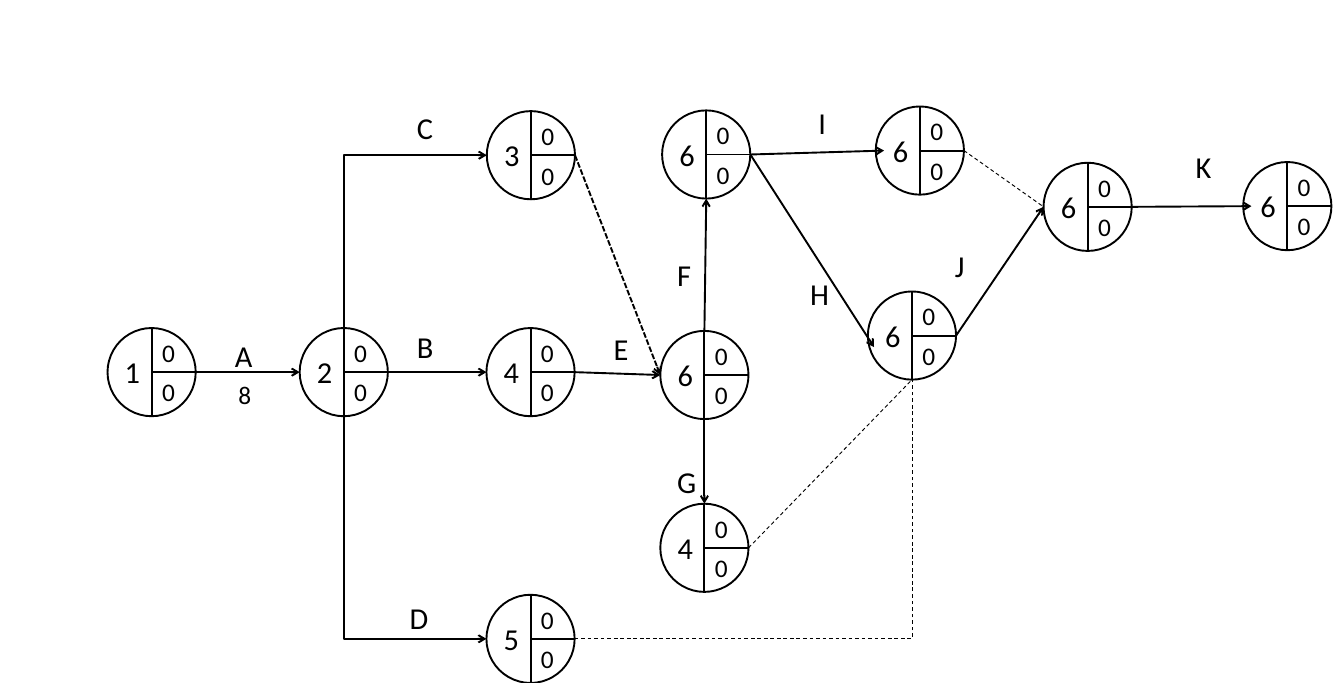
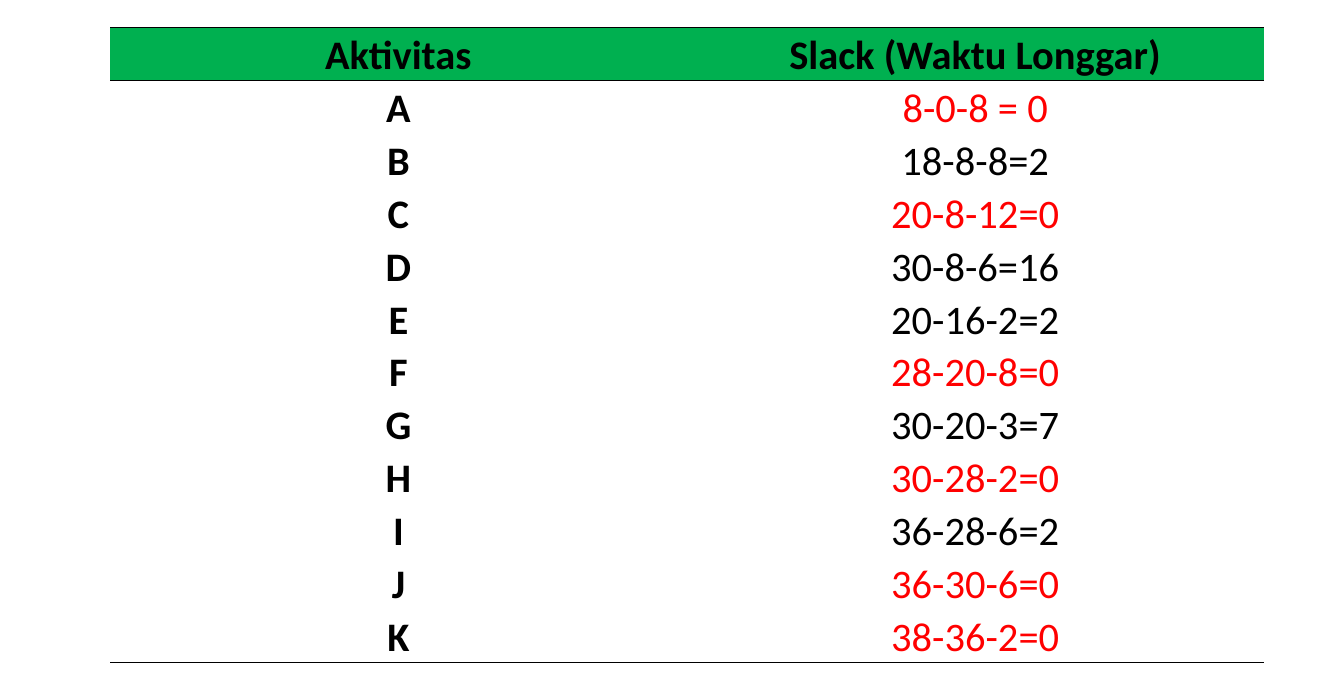
from typing import Any, NamedTuple, Optional

from lxml import etree
from pptx import Presentation
from pptx.dml.color import RGBColor
from pptx.enum.dml import MSO_LINE
from pptx.enum.shapes import MSO_CONNECTOR, MSO_SHAPE
from pptx.enum.text import MSO_AUTO_SIZE, PP_ALIGN
from pptx.oxml.ns import qn
from pptx.util import Cm, Pt

OVAL = MSO_SHAPE.OVAL
STRAIGHT, ELBOW = MSO_CONNECTOR.STRAIGHT, MSO_CONNECTOR.ELBOW
DASH, DOT = MSO_LINE.DASH, MSO_LINE.SQUARE_DOT
GROW, CENTER = MSO_AUTO_SIZE.SHAPE_TO_FIT_TEXT, PP_ALIGN.CENTER

# Shared look
COLORS = {"ink": "000000", "red": "FF0000", "green": "00B050"}
FACE = "Calibri"
FRAME = {"word_wrap": True, "auto_size": GROW}
PLAIN = "{2D5ABB26-0587-4C30-8999-92F81FD0307C}"
FLAGS = {"first_row": False, "horz_banding": False}
CELL = {"margin_left": Cm(0.19), "margin_right": Cm(0.19),
        "margin_top": 0, "margin_bottom": 0}
PARA = {"alignment": CENTER, "line_spacing": 1.07, "space_after": Pt(8)}

RADIUS = 1.23
TEXT_W = 0.79
BIG, SMALL = 24, 20
HEIGHTS = {BIG: 1.27, SMALL: 1.12}
THICK, THIN = 1.5, 0.75
# Side of a node: direction from its centre and connection site
SIDES = {"top": (0, -1, 0), "left": (-1, 0, 2),
         "bottom": (0, 1, 4), "right": (1, 0, 6)}


class Node(NamedTuple):
    num: str
    x: float
    y: float


class Edge(NamedTuple):
    start: str
    out: str
    end: str
    into: str
    arrow: str = "tailEnd"
    width: float = THICK
    dash: Any = None
    kind: Any = STRAIGHT
    stop: Optional[tuple[float, float]] = None


class Label(NamedTuple):
    text: str
    x: float
    y: float
    size: int = BIG


# Network: a node is keyed by its number, or by the task that leads to it
NODES = {
    "1": Node("1", 4.23, 10.38),
    "2": Node("2", 9.59, 10.38),
    "3": Node("3", 14.81, 4.33),
    "4": Node("4", 14.8, 10.38),
    "5": Node("5", 14.8, 17.82),
    "6": Node("6", 19.65, 10.46),
    "G": Node("4", 19.65, 15.28),
    "F": Node("6", 19.7, 4.31),
    "I": Node("6", 25.66, 4.2),
    "H": Node("6", 25.44, 9.36),
    "J": Node("6", 30.34, 5.77),
    "K": Node("6", 35.91, 5.75),
}

# Elbows leave sideways, so those of C and D carry the arrow at their start
EDGES = [
    Edge("1", "right", "2", "left"),
    Edge("2", "right", "4", "left"),
    Edge("3", "left", "2", "top", "headEnd", kind=ELBOW),
    Edge("5", "left", "2", "bottom", "headEnd", kind=ELBOW),
    Edge("4", "right", "6", "left"),
    Edge("6", "top", "F", "bottom"),
    Edge("6", "bottom", "G", "top"),
    Edge("3", "right", "6", "left", dash=DOT),
    Edge("G", "right", "H", "bottom", "", THIN, DASH),
    Edge("F", "right", "I", "left", stop=(24.66, 4.2)),
    Edge("F", "right", "H", "left", stop=(24.38, 9.68)),
    Edge("H", "right", "J", "left"),
    Edge("5", "right", "H", "bottom", "", THIN, DASH, ELBOW),
    Edge("I", "right", "J", "left", "", THIN, DASH),
    Edge("J", "right", "K", "left", stop=(34.91, 5.75)),
]

LABELS = [
    Label("A", 6.3, 9.27), Label("8", 6.4, 10.46, SMALL),
    Label("B", 11.38, 9.04), Label("C", 11.38, 2.92),
    Label("D", 11.18, 16.59), Label("E", 16.87, 9.09),
    Label("F", 18.64, 7.01), Label("G", 18.64, 12.78),
    Label("H", 22.35, 7.54), Label("I", 22.58, 2.77),
    Label("J", 26.39, 6.76), Label("K", 33.1, 4.01),
]

# Slack table: the tasks without slack are red
HEAD = ("Aktivitas", "Slack (Waktu Longgar)")
SLACK = {
    "A": "8-0-8 = 0", "B": "18-8-8=2", "C": "20-8-12=0", "D": "30-8-6=16",
    "E": "20-16-2=2", "F": "28-20-8=0", "G": "30-20-3=7", "H": "30-28-2=0",
    "I": "36-28-6=2", "J": "36-30-6=0", "K": "38-36-2=0",
}
CRITICAL = "ACFHJK"


def color(name: str) -> RGBColor:
    return RGBColor.from_string(COLORS[name])


def apply(target: Any, values: dict[str, Any]) -> None:
    for name, value in values.items():
        setattr(target, name, value)


def style_font(font: Any, size: int, ink: str = "ink", bold: bool = False) -> None:
    apply(font, {"name": FACE, "size": Pt(size), "bold": bold})
    font.color.rgb = color(ink)


def add_text(shapes: Any, label: Label) -> None:
    box = shapes.add_textbox(Cm(label.x), Cm(label.y), Cm(TEXT_W), Cm(HEIGHTS[label.size]))
    apply(box.text_frame, FRAME)
    para = box.text_frame.paragraphs[0]
    para.text = label.text
    style_font(para.runs[0].font, label.size)


def style_line(line: Any, width: float = THICK) -> None:
    line.color.rgb = color("ink")
    line.width = Pt(width)


def add_line(shapes: Any, start: tuple[float, float], end: tuple[float, float],
             width: float = THICK, dash: Any = None, arrow: str = "",
             kind: Any = STRAIGHT) -> Any:
    link = shapes.add_connector(kind, *(Cm(v) for v in start + end))
    style_line(link.line, width)
    if dash is not None:
        link.line.dash_style = dash
    props = link._element.spPr
    if arrow:
        etree.SubElement(props.find(qn("a:ln")), qn("a:" + arrow), type="arrow")
    etree.SubElement(props, qn("a:effectLst"))
    return link


def add_node(shapes: Any, node: Node) -> int:
    group = shapes.add_group_shape().shapes
    x, y = node.x, node.y
    ring = group.add_shape(OVAL, Cm(x - RADIUS), Cm(y - RADIUS),
                           Cm(2 * RADIUS), Cm(2 * RADIUS))
    ring.shadow.inherit = False
    ring.fill.background()
    style_line(ring.line)
    add_line(group, (x, y - RADIUS), (x, y + RADIUS))
    add_line(group, (x + RADIUS, y), (x, y))
    add_text(group, Label(node.num, x - 1, y - 0.65))
    for top in (y - 1.1, y):
        add_text(group, Label("0", x + 0.04, top, SMALL))
    return ring.shape_id


def side_point(key: str, side: str) -> tuple[float, float]:
    node, (dx, dy, _) = NODES[key], SIDES[side]
    return node.x + dx * RADIUS, node.y + dy * RADIUS


def add_edge(shapes: Any, edge: Edge, rings: dict[str, int]) -> None:
    start = side_point(edge.start, edge.out)
    end = edge.stop or side_point(edge.end, edge.into)
    link = add_line(shapes, start, end, edge.width, edge.dash, edge.arrow, edge.kind)
    if edge.kind == ELBOW:
        link._element.spPr.find(qn("a:prstGeom")).set("prst", "bentConnector2")
    # Glue the ends to the nodes
    joins = [("a:stCxn", edge.start, edge.out)]
    if not edge.stop:
        joins.append(("a:endCxn", edge.end, edge.into))
    holder = next(link._element.iter(qn("p:cNvCxnSpPr")))
    for tag, key, side in joins:
        etree.SubElement(holder, qn(tag), id=str(rings[key]), idx=str(SIDES[side][2]))


def add_rule(cell: Any, tag: str) -> None:
    props = cell._tc.get_or_add_tcPr()
    rule = etree.Element(qn(tag), w=str(Pt(1)))
    fill = etree.SubElement(rule, qn("a:solidFill"))
    etree.SubElement(fill, qn("a:srgbClr"), val=COLORS["ink"])
    # Borders come before the fill
    props.insert(len(props.findall(qn("a:lnT"))), rule)


def fill_cell(cell: Any, text: str, ink: str, bold: bool, head: bool) -> None:
    apply(cell, CELL)
    if head:
        cell.fill.solid()
        cell.fill.fore_color.rgb = color("green")
    else:
        cell.fill.background()
    para = cell.text_frame.paragraphs[0]
    para.text = text
    apply(para, PARA)
    style_font(para.runs[0].font, 32, ink, bold)


def draw_network(slide: Any) -> None:
    rings = {key: add_node(slide.shapes, node) for key, node in NODES.items()}
    for edge in EDGES:
        add_edge(slide.shapes, edge, rings)
    for label in LABELS:
        add_text(slide.shapes, label)


def draw_slack(slide: Any) -> None:
    rows = [HEAD, *SLACK.items()]
    frame = slide.shapes.add_table(len(rows), 2, Cm(3.07), Cm(0.76), Cm(32.18), Cm(17.5))
    table = frame.table
    apply(table, FLAGS)
    next(frame._element.iter(qn("a:tableStyleId"))).text = PLAIN
    for r, row in enumerate(rows):
        for c, text in enumerate(row):
            cell = table.cell(r, c)
            ink = "red" if c == 1 and row[0] in CRITICAL else "ink"
            fill_cell(cell, text, ink, r == 0 or c == 0, r == 0)
            if r == 0:
                add_rule(cell, "a:lnT")
            if r in (0, len(rows) - 1):
                add_rule(cell, "a:lnB")


def main() -> None:
    deck = Presentation()
    deck.slide_width, deck.slide_height = Cm(37.49), Cm(19.05)
    blank = deck.slide_layouts[6]
    for draw in (draw_network, draw_slack):
        draw(deck.slides.add_slide(blank))
    deck.save("out.pptx")


if __name__ == "__main__":
    main()
